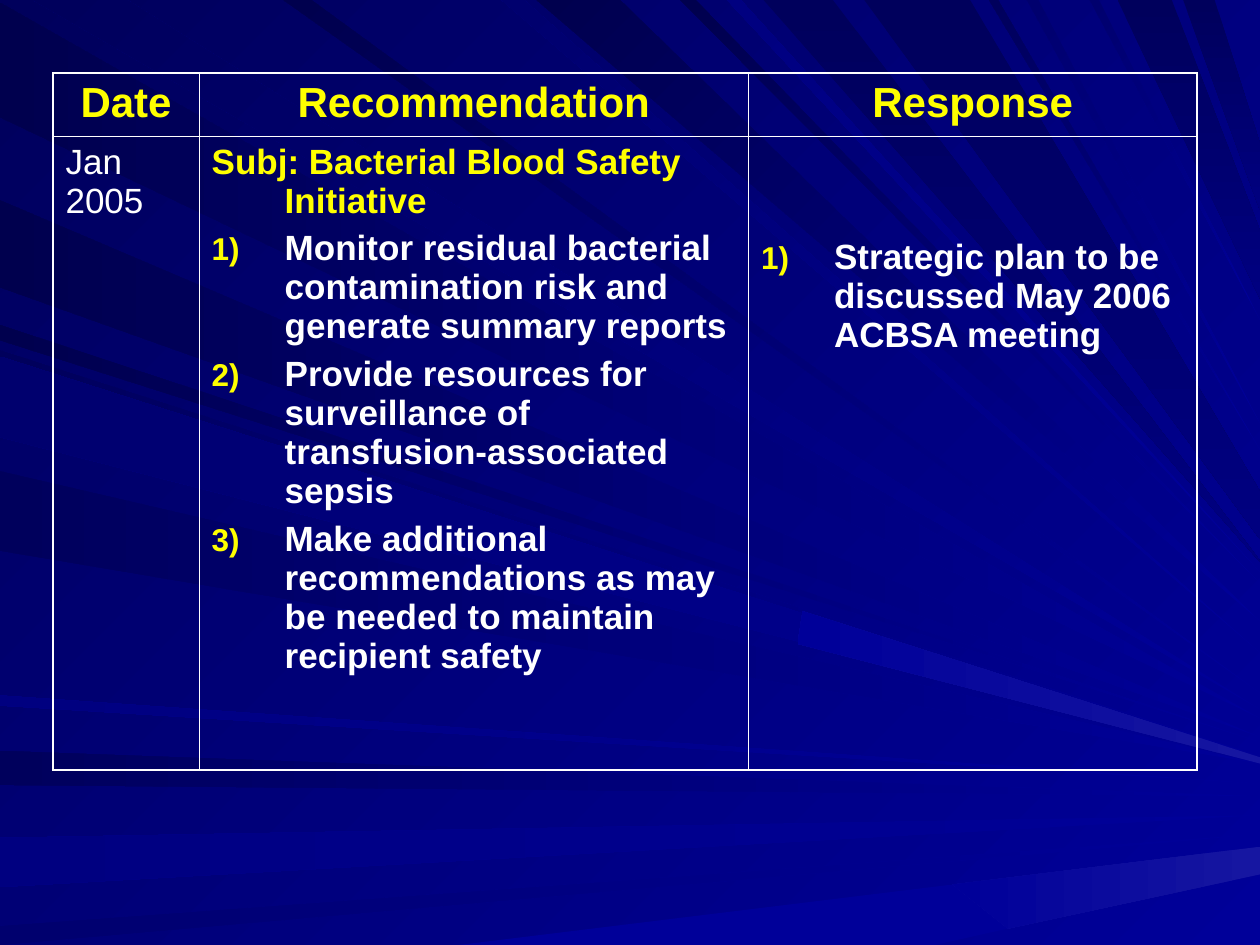
"""Build a recommendation and response table over a blue light-ray background."""
from lxml.etree import SubElement, fromstring
from pptx import Presentation
from pptx.dml.color import RGBColor
from pptx.enum.text import PP_ALIGN as Align
from pptx.oxml.ns import nsdecls, qn
from pptx.util import Inches, Pt


def paint_gradient(fill, start, end, clockwise):
    """Give a fill two gradient stops and a clockwise angle."""
    fill.gradient()
    fill.gradient_angle = 360 - clockwise
    for stop, color in zip(fill.gradient_stops, (start, end)):
        stop.color.rgb = color


def add_ray(shapes, corners, start, end, clockwise):
    """Draw one gradient polygon without an outline."""
    points = [(Inches(x), Inches(y)) for x, y in corners]
    builder = shapes.build_freeform(*points[0])
    builder.add_line_segments(points[1:], close=True)
    ray = builder.convert_to_shape()
    ray.shadow.inherit = False
    ray.line.fill.background()
    paint_gradient(ray.fill, start, end, clockwise)


WHITE = RGBColor(0xFF, 0xFF, 0xFF)
YELLOW = RGBColor(0xFF, 0xFF, 0x00)
GLOW = RGBColor(0x16, 0x16, 0xA1)
BRIGHT = RGBColor(0x00, 0x00, 0x99)
MEDIUM = RGBColor(0x00, 0x00, 0x80)
SOFT = RGBColor(0x00, 0x00, 0x6E)
DARK = RGBColor(0x00, 0x00, 0x5C)
DEEP = RGBColor(0x00, 0x00, 0x4E)

WIDTH, HEIGHT = 10, 7.5
LEFT_RAYS = [
    (0.02, 0.93, 5.7, DEEP),
    (5.96, 6.23, 6.32, DARK),
    (6.65, 7.04, 6.47, MEDIUM),
    (7.35, 7.5, 6.62, SOFT),
    (2.58, 2.7, 5.89, DEEP),
    (1.59, 2.28, 5.85, DEEP),
    (2.78, 3.42, 6, DARK),
    (3.74, 4.37, 6.06, DARK),
    (5.52, 5.6, 6.22, MEDIUM),
    (2.83, 3.47, 6.03, SOFT),
]
TOP_RAYS = [
    (0.26, 1.01, 5.63, DARK),
    (3.98, 4.16, 5.18, SOFT),
    (4.26, 4.92, 4.93, DEEP),
    (5.4, 5.52, 4.63, DEEP),
    (2.25, 2.47, 5.5, DEEP),
    (5.77, 5.88, 4.54, MEDIUM),
    (7.85, 7.92, 3.57, DARK),
    (8.15, 8.24, 3.36, SOFT),
    (8.65, 8.72, 2.54, SOFT),
]
STEEP_RAYS = [
    (6.06, 6.61, 4.45, 4.46),
    (6.86, 7.7, 3.9, 4.28),
    (8.87, 9.3, 1.83, 2.37),
    (9.39, 9.64, 1.14, 1.67),
]
GLEAMS = [
    [(3.64, 7.5), (7.56, 7.02), (8, 7.37), (7.42, 7.5)],
    [(7.56, 7.02), (WIDTH, 6.72), (WIDTH, 6.94), (8, 7.37)],
    [(6.37, 4.85), (WIDTH, 6.01), (WIDTH, 6.06), (6.33, 5.11)],
]

deck = Presentation()
deck.slide_width, deck.slide_height = Inches(WIDTH), Inches(HEIGHT)
page = deck.slides.add_slide(deck.slide_layouts[6])
paint_gradient(page.background.fill, BRIGHT, DARK, 225)

for top, bottom, tip, shade in LEFT_RAYS:
    add_ray(page.shapes, [(0, top), (WIDTH, tip), (0, bottom)], BRIGHT, shade, 180)
for left, right, tip, shade in TOP_RAYS:
    add_ray(page.shapes, [(left, 0), (right, 0), (WIDTH, tip)], BRIGHT, shade, 225)
for left, right, high, low in STEEP_RAYS:
    corners = [(left, 0), (right, 0), (WIDTH, high), (WIDTH, low)]
    add_ray(page.shapes, corners, DARK, MEDIUM, 90)
for corners, glow in zip(GLEAMS, (BRIGHT, GLOW, GLOW)):
    add_ray(page.shapes, corners, glow, BRIGHT, 180)

HEADINGS = ["Date", "Recommendation", "Response"]
SUBJECT = "Subj: Bacterial Blood Safety Initiative"
DETAILS = [
    ["Jan 2005"],
    [
        SUBJECT,
        "Monitor residual bacterial contamination risk and generate summary reports",
        "Provide resources for surveillance of transfusion-associated sepsis",
        "Make additional recommendations as may be needed to maintain recipient safety",
    ],
    ["Strategic plan to be discussed May 2006 ACBSA meeting"],
]
ROWS = [[[heading] for heading in HEADINGS], DETAILS]
COLUMN_WIDTHS = [1.16, 4.36, 3.56]
ROW_HEIGHTS = [0.5, 5.03]
OUTER, INNER = Pt(1.08), Pt(0.45)
HANGING = Inches(0.58)

table = page.shapes.add_table(
    2, 3, Inches(0.42), Inches(0.58), Inches(sum(COLUMN_WIDTHS)), Inches(sum(ROW_HEIGHTS))
).table
table.first_row = table.horz_banding = False
for column, width in zip(table.columns, COLUMN_WIDTHS):
    column.width = Inches(width)
for row, height in zip(table.rows, ROW_HEIGHTS):
    row.height = Inches(height)

for r, row in enumerate(ROWS):
    for c, texts in enumerate(row):
        cell = table.cell(r, c)
        cell.fill.background()
        edges = {"lnL": c == 0, "lnR": c == 2, "lnT": r == 0, "lnB": r == 1}
        for index, (tag, is_outer) in enumerate(edges.items()):
            border = fromstring(
                f'<a:{tag} {nsdecls("a")} w="{OUTER if is_outer else INNER}">'
                f'<a:solidFill><a:srgbClr val="{WHITE}"/></a:solidFill></a:{tag}>'
            )
            cell._tc.get_or_add_tcPr().insert(index, border)
        if r == 1 and c == 2:
            cell.margin_top = Inches(0.81)
        for index, text in enumerate(texts):
            frame = cell.text_frame
            para = frame.add_paragraph() if index else frame.paragraphs[0]
            para.text = text
            if index:
                para.space_before = Pt(5)
            if r == 0:
                para.alignment = Align.CENTER
            elif c > 0:
                props = para._p.get_or_add_pPr()
                props.set("marL", str(HANGING))
                props.set("indent", str(-HANGING))
                if text != SUBJECT:
                    color = SubElement(props, qn("a:buClr"))
                    SubElement(color, qn("a:srgbClr"), val=str(YELLOW))
                    SubElement(props, qn("a:buSzPct"), val="90000")
                    SubElement(props, qn("a:buFont"), typeface="Arial")
                    SubElement(props, qn("a:buAutoNum"), type="arabicParenR")
            para.font.name = "Arial"
            para.font.size = Pt(24 if r == 0 else 20)
            para.font.bold = r == 0 or c > 0
            para.font.color.rgb = YELLOW if r == 0 or text == SUBJECT else WHITE

deck.save("out.pptx")
